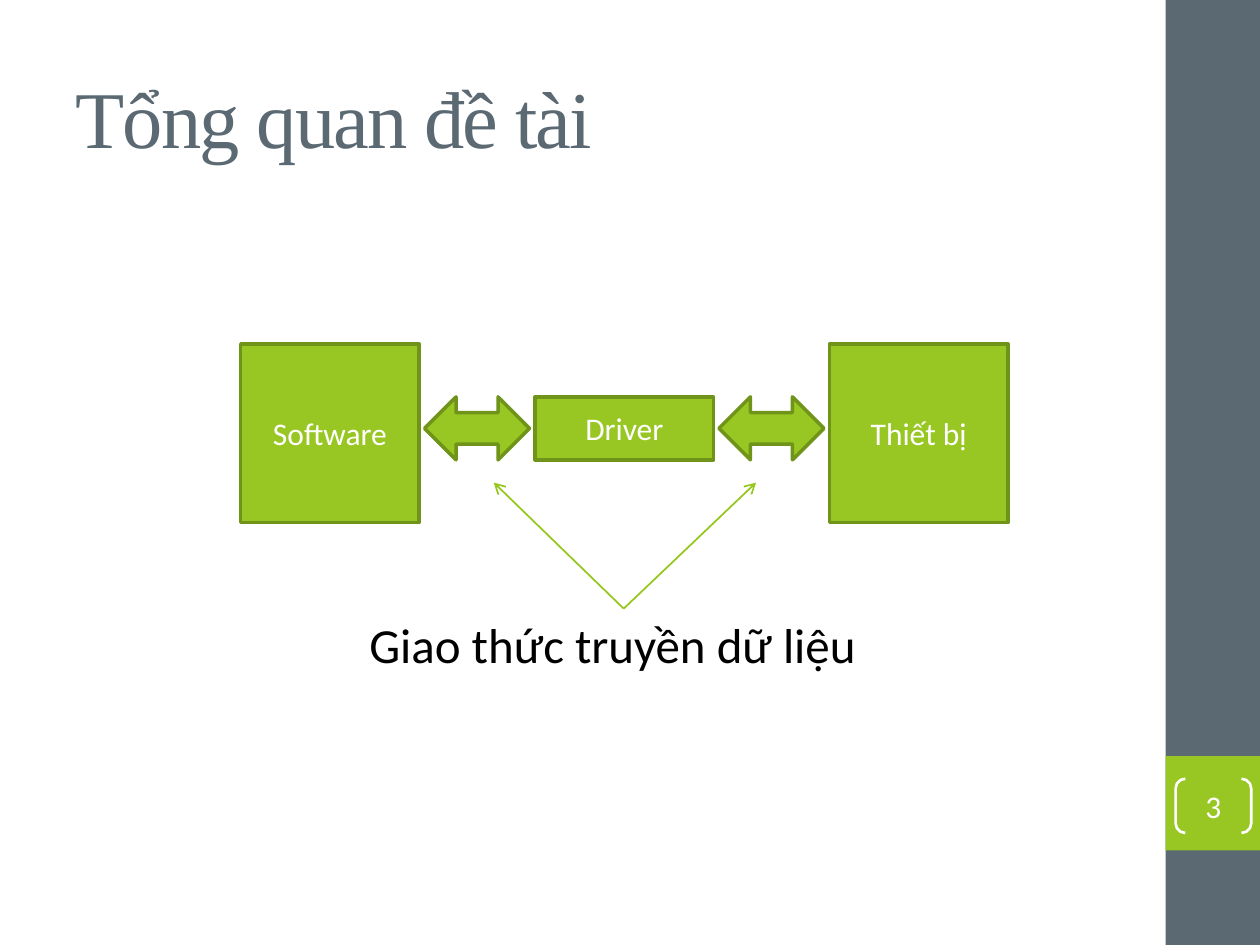
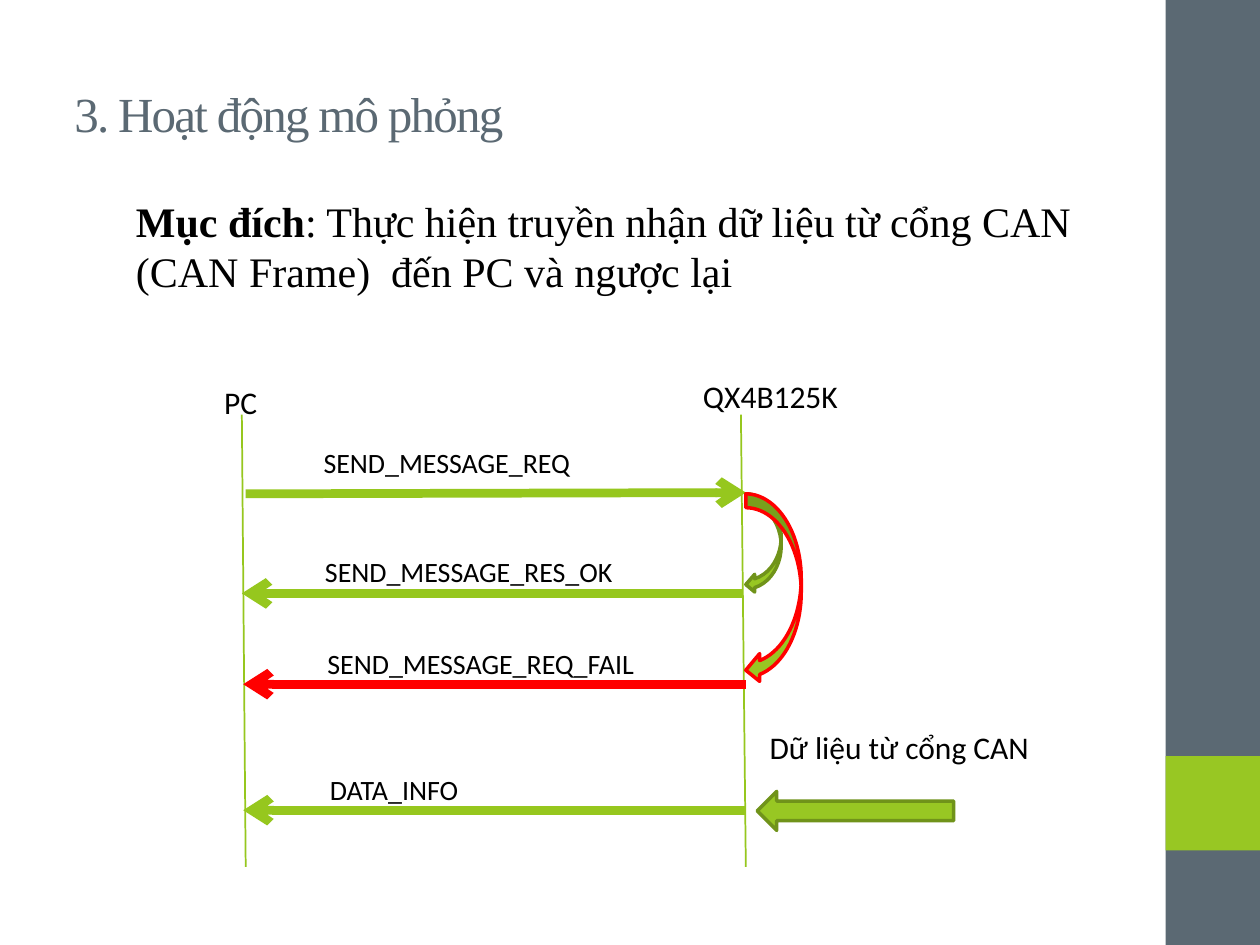
import pptx
import pptx.util
import pptx.dml.color
import pptx.enum.shapes
import pptx.enum.text
import pptx.oxml.ns
import lxml.etree

Pt = pptx.util.Pt
RGB = pptx.dml.color.RGBColor.from_string
KIND = pptx.enum.shapes.MSO_SHAPE
ALIGN = pptx.enum.text.PP_ALIGN
ANCHOR = pptx.enum.text.MSO_ANCHOR
qn = pptx.oxml.ns.qn

HUES = {"slate": "5B6973", "green": "98C723", "edge": "70931A", "line": "96C71E",
        "red": "FF0000", "white": "FFFFFF", "black": "000000"}
SANS, SERIF = "Calibri", "Times New Roman"


def put(slide, kind, spot, text="", fill=None, edge=None, width=2, size=18, font=SANS):
    """Add a preset shape, or a text box when kind is None."""
    spot = [Pt(n) for n in spot]
    if kind is None:
        shape = slide.shapes.add_textbox(*spot)
        hue = "black"
    else:
        shape = slide.shapes.add_shape(kind, *spot)
        shape.shadow.inherit = False
        hue = "white"
        if fill:
            shape.fill.solid()
            shape.fill.fore_color.rgb = RGB(HUES[fill])
        else:
            shape.fill.background()
        if edge:
            shape.line.color.rgb = RGB(HUES[edge])
            shape.line.width = Pt(width)
        else:
            shape.line.fill.background()
    if text:
        frame = shape.text_frame
        frame.text = text
        frame.word_wrap = True
        if kind is not None:
            frame.vertical_anchor = ANCHOR.MIDDLE
            frame.paragraphs[0].alignment = ALIGN.CENTER
        for run in frame.paragraphs[0].runs:
            run.font.name = font
            run.font.size = Pt(size)
            run.font.color.rgb = RGB(HUES[hue])
    return shape


def link(slide, start, end, hue="line", width=1, arrow=True):
    """Add a straight line, with an open arrowhead at its end."""
    straight = pptx.enum.shapes.MSO_CONNECTOR.STRAIGHT
    wire = slide.shapes.add_connector(straight, *[Pt(n) for n in start + end])
    wire.line.color.rgb = RGB(HUES[hue])
    wire.line.width = Pt(width)
    if arrow:
        lxml.etree.SubElement(wire.line._get_or_add_ln(), qn("a:tailEnd"), type="arrow")
    lxml.etree.SubElement(wire.element.spPr, qn("a:effectLst"))


deck = pptx.Presentation()
deck.slide_width, deck.slide_height = Pt(720), Pt(540)
view = deck.slides.add_slide(deck.slide_layouts[1])
flow = deck.slides.add_slide(deck.slide_layouts[5])

# Side band, moved to the master that both slides share
tree = deck.slide_master.shapes.element
side = put(view, KIND.RECTANGLE, (666, 0, 54, 540), fill="slate")
tab = put(view, KIND.RECTANGLE, (666, 432, 54, 54), fill="green")
for place, part in enumerate((side, tab), 2):
    tree.insert(place, part.element)

# Titles
for slide, text, size, spot in [
        (view, "Tổng quan đề tài", 46, (36, 21.6, 600, 90)),
        (flow, "3. Hoạt động mô phỏng", 28, (35.3, 34.6, 606, 60))]:
    title = slide.shapes.title
    title.left, title.top, title.width, title.height = [Pt(n) for n in spot]
    title.text_frame.text = text
    title.text_frame.auto_size = pptx.enum.text.MSO_AUTO_SIZE.NONE
    title.text_frame.vertical_anchor = ANCHOR.MIDDLE
    title.text_frame.paragraphs[0].alignment = ALIGN.LEFT
    run = title.text_frame.paragraphs[0].runs[0]
    run.font.name = SERIF
    run.font.size = Pt(size)
    run.font.color.rgb = RGB(HUES["slate"])
    run.font._element.set("spc", "-100")

# Slide 1: caption
body = view.placeholders[1]
body.left, body.top, body.width, body.height = Pt(203.8), Pt(347.8), Pt(460), Pt(64)
body.text_frame.text = "Giao thức truyền dữ liệu"
para = body.text_frame.paragraphs[0]
props = para._p.get_or_add_pPr()
props.set("marL", "0")
props.set("indent", "0")
lxml.etree.SubElement(props, qn("a:buNone"))
font = para.runs[0].font
font.name, font.size = SANS, Pt(28)
font.color.rgb = RGB(HUES["black"])

# Slide 1: chain of blocks and the arrows between them
step = 168.2
for i, (text, top, high) in enumerate([
        ("Software", 196.6, 102), ("Driver", 226.8, 36), ("Thiết bị", 196.6, 102)]):
    put(view, KIND.RECTANGLE, (137.6 + i * step, top, 102, high), text, "green", "edge")
for i in range(2):
    put(view, KIND.LEFT_RIGHT_ARROW, (242.6 + i * step, 226.8, 60, 36), "", "green", "edge")
for x in (282.2, 432):
    link(view, (356.4, 347.8), (x, 275.8))

# Slide 1: page number
page = put(view, KIND.DOUBLE_BRACKET, (671.8, 445, 43.2, 31), "3", edge="white", width=1.5)
page.adjustments[0] = 0.179
frame = page.text_frame
frame.margin_left = frame.margin_right = frame.margin_top = frame.margin_bottom = 0

# Slide 2: aim
aim = put(flow, None, (70.6, 108, 595.4, 65.5), "Mục đích", size=24, font=SERIF)
para = aim.text_frame.paragraphs[0]
para.runs[0].font.bold = True
rest = para.add_run()
rest.text = ": Thực hiện truyền nhận dữ liệu từ cổng CAN (CAN Frame)  đến PC và ngược lại"
rest.font.name, rest.font.size = SERIF, Pt(24)
rest.font.color.rgb = RGB(HUES["black"])

# Slide 2: lifelines
for text, spot, top, foot in [
        ("PC", (121, 215.3, 56.9, 25.2), 138.2, 140.4),
        ("QX4B125K", (394.6, 211.7, 103, 25.2), 423.4, 426.2)]:
    link(flow, (top, 236.9), (foot, 495.4), arrow=False)
    put(flow, None, spot, text)

# Slide 2: messages
for text, x, y, start, end, hue in [
        ("SEND_MESSAGE_REQ", 177.8, 251.3, (140.4, 282.2), (426.2, 281.5), "line"),
        ("SEND_MESSAGE_RES_OK", 178.6, 313.2, (424.8, 339.1), (138.2, 339.1), "line"),
        ("SEND_MESSAGE_REQ_FAIL", 180, 365.8, (426.2, 391), (139, 391), "red"),
        ("DATA_INFO", 181.4, 437.8, (426.2, 463), (139, 463), "line")]:
    link(flow, start, end, hue, 5)
    put(flow, None, (x, y, 224.6, 26.6), text, size=16)

# Slide 2: replies and data from the port
for kind, spot, edge in [
        (KIND.CURVED_LEFT_ARROW, (426.2, 282.2, 20.2, 56.9), "edge"),
        (KIND.CURVED_LEFT_ARROW, (426.2, 282.2, 31.7, 108.7), "red"),
        (KIND.LEFT_ARROW, (432.7, 452.2, 112.3, 22.3), "edge")]:
    put(flow, kind, spot, "", "green", edge)
put(flow, None, (432.7, 412.6, 166.3, 51), "Dữ liệu từ cổng CAN")

deck.save("out.pptx")
